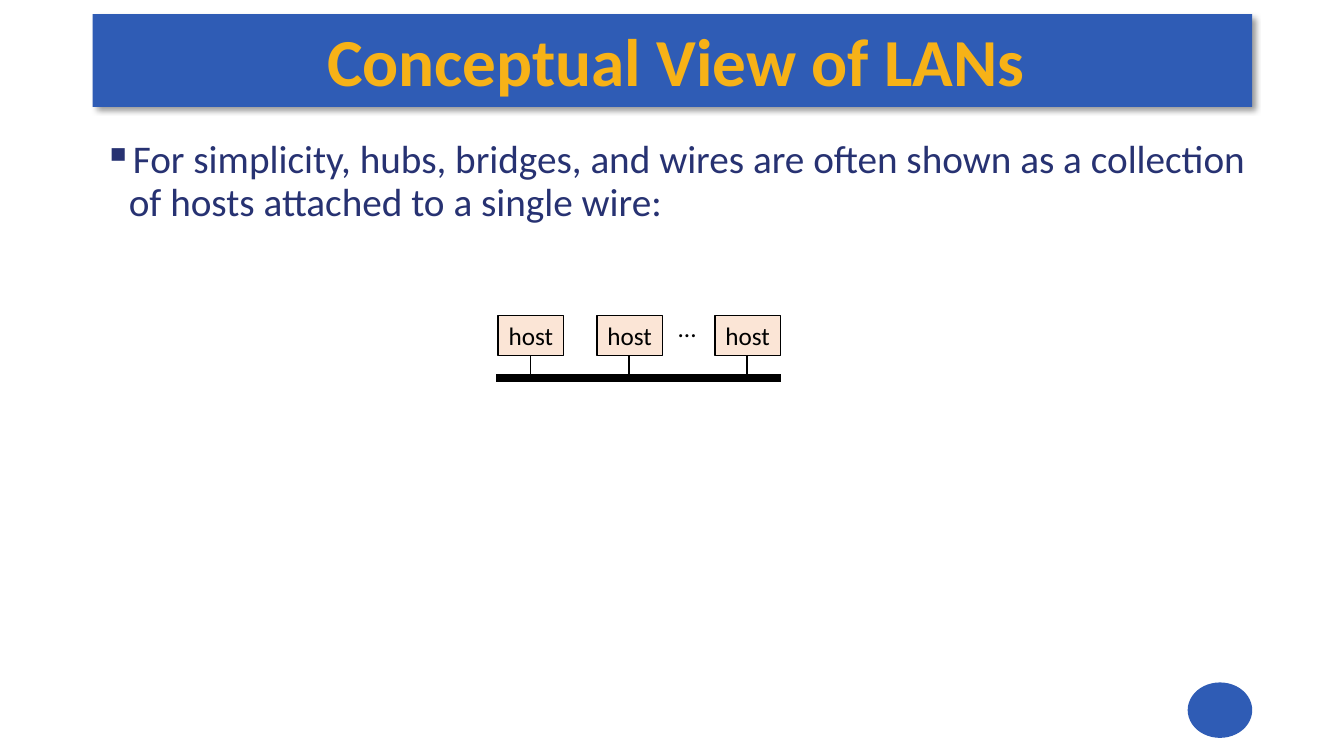
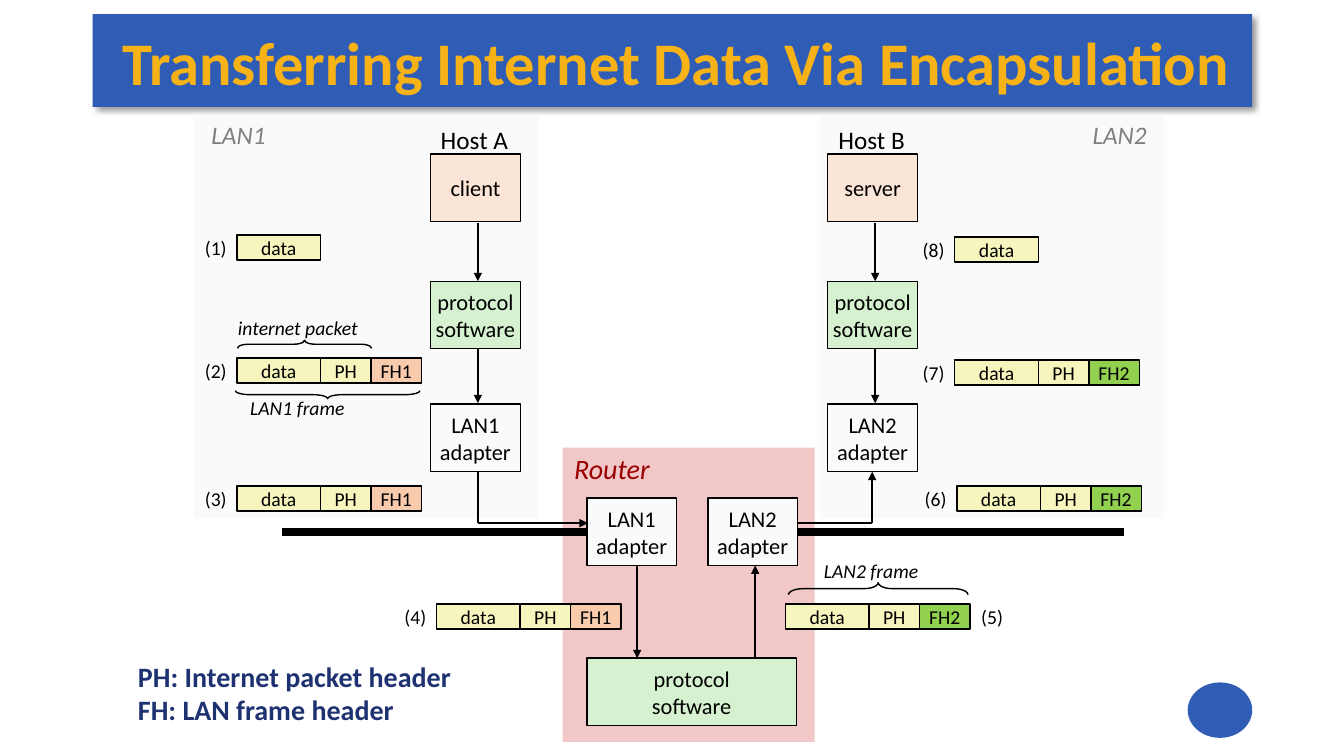
from lxml.etree import SubElement
from pptx import Presentation
from pptx.dml.color import RGBColor
from pptx.enum.shapes import MSO_CONNECTOR, MSO_SHAPE as Preset
from pptx.enum.text import MSO_ANCHOR as Anchor, MSO_AUTO_SIZE as AutoSize, PP_ALIGN as Align
from pptx.oxml.ns import qn
from pptx.util import Inches, Pt

FONT = "Calibri"
COLORS = {
    "band": "2F5CB5", "title": "F7B217", "body": "273272", "legend": "1E3272",
    "black": "000000", "grey": "808080", "panel": "FAFAFA",
    "router": "F1C7C7", "router_text": "990000",
    "host": "FBE5D6", "software": "D5F1CF",
    "data": "F6F5BD", "PH": "F6F5BD", "FH1": "F8CBAD", "FH2": "92D050",
}


def color(name):
    return RGBColor.from_string(COLORS[name])


class Slides:
    """Holds the shared style and the current page."""

    def __init__(self):
        self.deck = Presentation()
        self.deck.slide_width, self.deck.slide_height = Inches(13.33), Inches(7.5)
        self.page = None

    def new_page(self, title, size, top):
        self.page = self.deck.slides.add_slide(self.deck.slide_layouts[5])
        # Title band with its shadow, behind the title
        band = self.shape(0.92, 0.14, 11.5, 0.92, "band")
        effects = band.element.spPr.find(qn("a:effectLst"))
        shadow = SubElement(effects, qn("a:outerShdw"), blurRad=str(Pt(4)),
                            dist=str(Pt(3)), dir=str(45 * 60000))
        tint = SubElement(shadow, qn("a:srgbClr"), val=COLORS["black"])
        SubElement(tint, qn("a:alpha"), val="40000")
        self.page.shapes.element.insert(2, band.element)
        # Title
        box = self.page.shapes.title
        box.left, box.top = Inches(0.93), Inches(top)
        box.width, box.height = Inches(11.47), Inches(0.9)
        self.set_text(box, title, size, "title", bold=True)
        frame = box.text_frame
        frame.word_wrap = True
        frame.margin_left, frame.margin_right = Inches(0.08), 0
        frame.margin_top = frame.margin_bottom = Inches(0.03)
        # Footer disc
        self.shape(11.78, 6.77, 0.64, 0.55, "band", preset=Preset.OVAL)

    def set_text(self, box, text, size, ink="black", bold=False, italic=False,
                 align=Align.CENTER, anchor=Anchor.MIDDLE):
        frame = box.text_frame
        frame.text = text
        frame.word_wrap = False
        frame.auto_size = AutoSize.NONE
        frame.vertical_anchor = anchor
        for para in frame.paragraphs:
            para.alignment = align
            for span in para.runs:
                font = span.font
                font.name, font.size = FONT, Pt(size)
                font.bold, font.italic = bold, italic
                font.color.rgb = color(ink)

    def shape(self, x, y, width, height, fill=None, outlined=False, preset=Preset.RECTANGLE):
        shape = self.page.shapes.add_shape(
            preset, Inches(x), Inches(y), Inches(width), Inches(height))
        shape.shadow.inherit = False
        if fill:
            shape.fill.solid()
            shape.fill.fore_color.rgb = color(fill)
        else:
            shape.fill.background()
        if outlined:
            shape.line.color.rgb = color("black")
            shape.line.width = Pt(1)
        else:
            shape.line.fill.background()
        return shape

    def node(self, x, y, text, fill, width=0.89, height=0.67, size=16):
        self.set_text(self.shape(x, y, width, height, fill, outlined=True), text, size)

    def label(self, x, y, width, height, text, size, ink="black", **style):
        box = self.page.shapes.add_textbox(
            Inches(x), Inches(y), Inches(width), Inches(height))
        self.set_text(box, text, size, ink, **style)
        return box

    def bullet(self, x, y, width, height, text):
        box = self.label(x, y, width, height, text, 28, "body",
                         align=Align.LEFT, anchor=Anchor.TOP)
        box.text_frame.word_wrap = True
        para = box.text_frame.paragraphs[0]
        props = para._p.get_or_add_pPr()
        props.set("marL", str(Inches(0.25)))
        props.set("indent", str(-Inches(0.25)))
        SubElement(props, qn("a:buChar"), char="▪")
        para.line_spacing = 0.9

    def line(self, x1, y1, x2, y2, width=1, arrow=False):
        line = self.page.shapes.add_connector(
            MSO_CONNECTOR.STRAIGHT, Inches(x1), Inches(y1), Inches(x2), Inches(y2))
        line.line.color.rgb = color("black")
        line.line.width = Pt(width)
        props = line._element.spPr
        if arrow:
            SubElement(props.find(qn("a:ln")), qn("a:tailEnd"), type="triangle")
        SubElement(props, qn("a:effectLst"))

    def brace(self, x, y, depth, length, bend, rotation=90):
        brace = self.shape(x, y, depth, length, outlined=True, preset=Preset.LEFT_BRACE)
        brace.adjustments[0] = bend
        brace.rotation = rotation

    def packet(self, number, x, y, *headers, number_right=False):
        """A row of data and header cells with its step number at one side."""
        end = x
        for text in ("data", *headers):
            width = 0.83 if text == "data" else 0.5
            self.node(end, y, text, text, width, 0.25, 14)
            end += width
        self.label(end if number_right else x - 0.43, y - 0.04, 0.44, 0.33, f"({number})", 14)


def conceptual_view(slides):
    slides.new_page("Conceptual View of LANs", 48, 0.14)
    slides.bullet(0.93, 1.34, 11.56, 1.05,
                  "For simplicity, hubs, bridges, and wires are often shown as a "
                  "collection of hosts attached to a single wire:")
    # Hosts on one wire
    slides.line(4.92, 3.75, 7.75, 3.75, width=6)
    for x in (4.94, 5.92, 7.09):
        slides.line(x + 0.32, 3.42, x + 0.32, 3.75)
        slides.node(x, 3.13, "host", "host", 0.65, 0.4, 18)
    slides.label(6.62, 3.05, 0.39, 0.4, "...", 18)


def encapsulation(slides):
    slides.new_page("Transferring Internet Data Via Encapsulation", 43.2, 0.16)

    # Panels of the two LANs and the router
    for name, x, label_x in (("LAN1", 1.92, 1.99), ("LAN2", 8.13, 10.73)):
        slides.shape(x, 1.14, 3.42, 4, "panel")
        slides.label(label_x, 1.13, 0.75, 0.4, name, 18, "grey", italic=True)
    slides.shape(5.58, 4.44, 2.5, 2.92, "router")
    slides.label(5.58, 4.43, 0.98, 0.44, "Router", 20, "router_text", italic=True)

    # Wires and the path through the router
    for x in (2.8, 7.9):
        slides.line(x, 5.28, x + 3.25, 5.28, width=6)
    slides.line(4.74, 4.68, 4.74, 5.19)
    slides.line(4.74, 5.19, 5.83, 5.19, arrow=True)
    slides.line(6.32, 5.61, 6.32, 6.53, arrow=True)
    slides.line(7.49, 6.53, 7.49, 5.61, arrow=True)
    slides.line(7.9, 5.19, 8.65, 5.19)
    slides.line(8.65, 5.19, 8.65, 4.68, arrow=True)

    # Host stacks and router adapters
    for x, host, program, lan, router_x in (
            (4.27, "Host A", "client", "LAN1", 5.82),
            (8.21, "Host B", "server", "LAN2", 7.02)):
        slides.label(x - 0.01, 1.18, 0.89, 0.4, host, 18)
        slides.node(x, 1.53, program, "host")
        slides.node(x, 2.79, "protocol\nsoftware", "software")
        for adapter_x, y in ((x, 4.01), (router_x, 4.94)):
            slides.node(adapter_x, y, f"{lan}\nadapter", "panel")
        for start, end in ((2.21, 2.79), (3.46, 4)):
            slides.line(x + 0.47, start, x + 0.47, end, arrow=True)
    slides.node(5.82, 6.53, "protocol\nsoftware", "software", width=2.08)

    # Packets in the order of the steps
    slides.packet(1, 2.35, 2.33)
    slides.packet(2, 2.35, 3.55, "PH", "FH1")
    slides.packet(3, 2.35, 4.82, "PH", "FH1")
    slides.packet(4, 4.33, 5.99, "PH", "FH1")
    slides.packet(5, 7.79, 5.99, "PH", "FH2", number_right=True)
    slides.packet(6, 9.49, 4.82, "PH", "FH2")
    slides.packet(7, 9.47, 3.57, "PH", "FH2")
    slides.packet(8, 9.47, 2.35)

    # Braces and their names
    slides.brace(2.98, 2.75, 0.08, 1.33, 1.33)
    slides.brace(3.21, 3, 0.08, 1.83, 1.83, rotation=270)
    slides.brace(8.65, 4.95, 0.12, 1.78, 1.19)
    for x, y, width, text in ((2.24, 3.08, 1.43, "internet packet"),
                              (2.37, 3.87, 1.16, "LAN1 frame"),
                              (8.06, 5.49, 1.16, "LAN2 frame")):
        slides.label(x, y, width, 0.34, text, 14, italic=True)

    # Legend
    slides.label(1.27, 6.49, 3.85, 0.77,
                 "PH: Internet packet header\nFH: LAN frame header", 20, "legend",
                 bold=True, align=Align.LEFT, anchor=Anchor.TOP)


def main():
    slides = Slides()
    conceptual_view(slides)
    encapsulation(slides)
    slides.deck.save("out.pptx")


if __name__ == "__main__":
    main()
